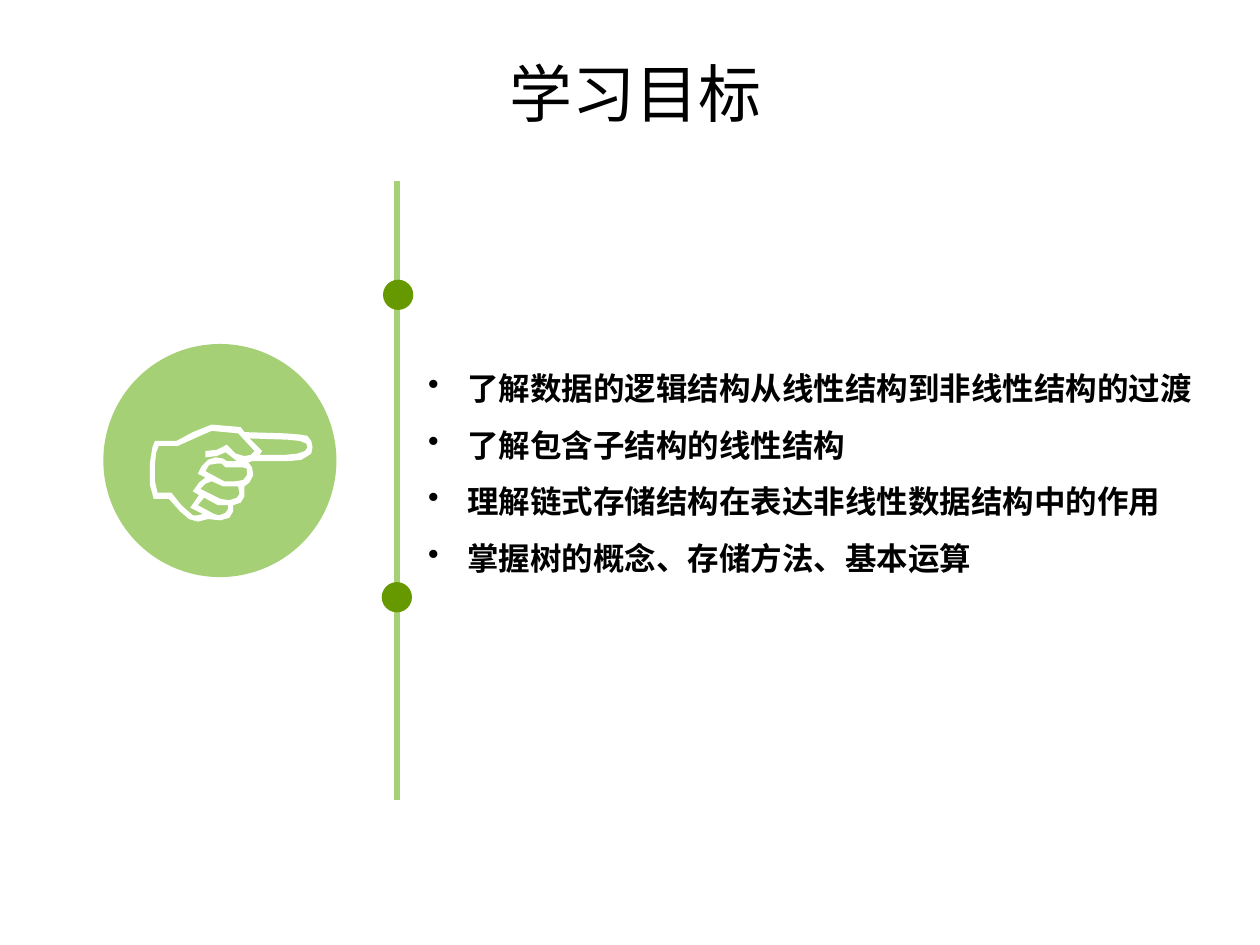
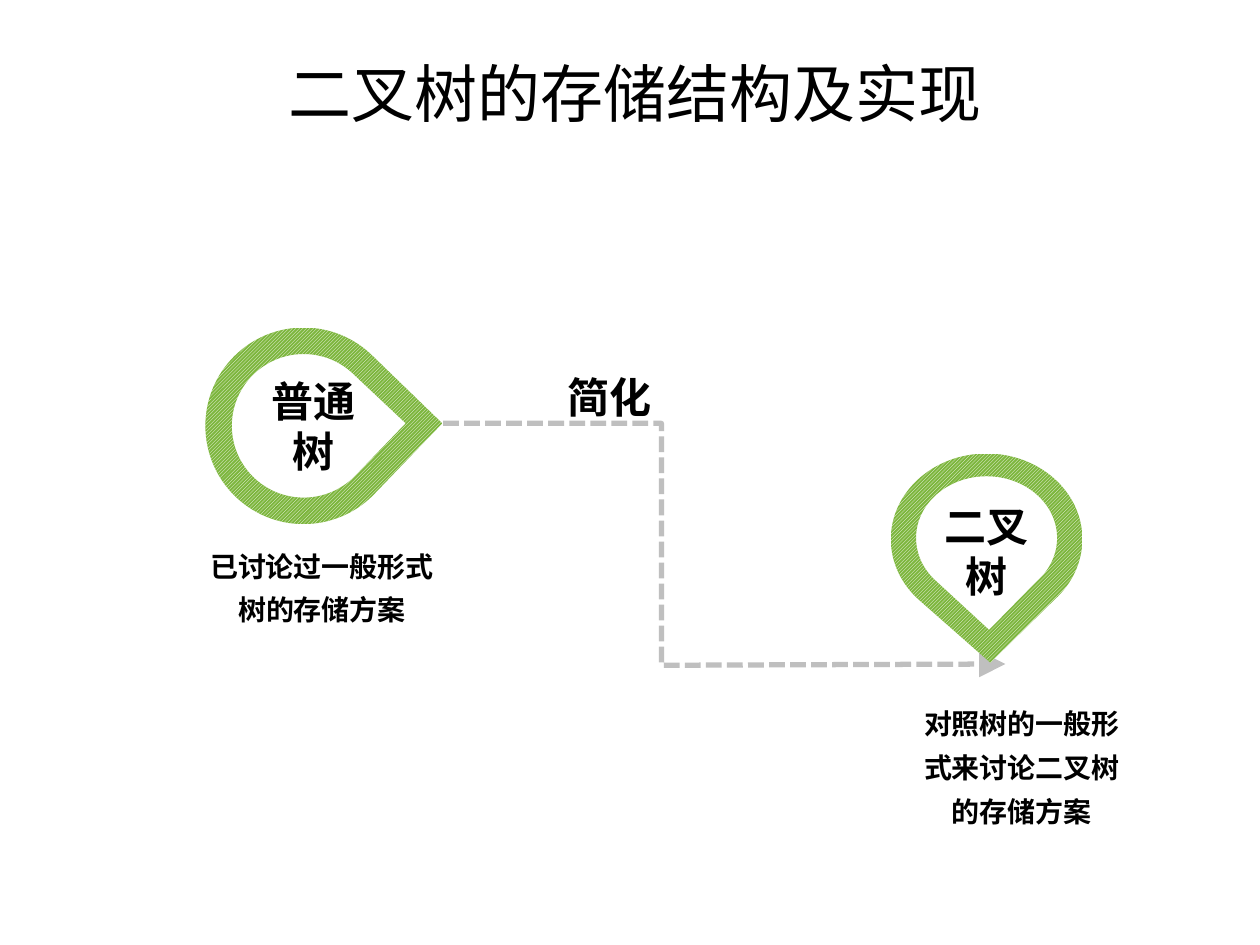
import math
from dataclasses import dataclass

import pptx
import pptx.dml.color
import pptx.enum.dml
import pptx.enum.shapes
import pptx.enum.text
import pptx.oxml.ns
import pptx.util
from lxml import etree
from pptx.util import Inches

Point = tuple[float, float]
Contour = list[Point]
PP_ALIGN = pptx.enum.text.PP_ALIGN
ANCHOR = pptx.enum.text.MSO_ANCHOR
qn = pptx.oxml.ns.qn


@dataclass(frozen=True)
class Theme:
    ink: str = "000000"
    paper: str = "FFFFFF"
    light_green: str = "A5D076"
    dark_green: str = "669900"
    pin_green: str = "7DB63E"
    grey: str = "BFBFBF"
    font: str = "Noto Sans Mono"
    cjk_font: str = "Noto Sans CJK JP"
    title_size: int = 36
    label_size: int = 24
    goal_size: int = 18
    caption_size: int = 16
    line_width: int = 3
    line_height: float = 1.2


THEME = Theme()


@dataclass(frozen=True)
class Caption:
    text: str
    left: float
    top: float
    width: float
    height: float
    size: int
    anchor: ANCHOR = ANCHOR.MIDDLE


@dataclass(frozen=True)
class Drop:
    """An ellipse drawn out to a tip."""
    center: Point
    radii: Point
    tip: Point


@dataclass(frozen=True)
class Pin:
    lines: list[str]
    drops: tuple[Drop, Drop]
    tip_angle: int
    margins: tuple[float, float, float, float]


# Degrees from the tip at which the pieces of a drop's round side meet.
DROP_STOPS = [45, 90, 180, 270, 315]

GOALS = [
    "了解数据的逻辑结构从线性结构到非线性结构的过渡",
    "了解包含子结构的线性结构",
    "理解链式存储结构在表达非线性数据结构中的作用",
    "掌握树的概念、存储方法、基本运算",
]

PINS = [
    Pin(["普通", "树"],
        (Drop((2.41, 3.38), (0.78, 0.78), (3.51, 3.36)),
         Drop((2.41, 3.38), (0.57, 0.57), (3.22, 3.36))),
        0, (0, 0.05, 0.16, 0.05)),
    Pin(["二叉", "树"],
        (Drop((7.83, 4.28), (0.76, 0.68), (7.86, 5.26)),
         Drop((7.83, 4.27), (0.56, 0.49), (7.85, 5.0))),
        90, (0, 0, 0, 0.12)),
]

CAPTIONS = [
    Caption("已讨论过一般形式树的存储方案", 1.54, 4.19, 2.03, 0.87, THEME.caption_size),
    Caption("简化", 4.21, 2.73, 1.26, 0.71, THEME.label_size),
    Caption("对照树的一般形式来讨论二叉树的存储方案", 7.13, 5.48, 1.96, 1.15,
            THEME.caption_size, ANCHOR.TOP),
]

SIMPLIFY_ROUTE = [(3.35, 3.36), (5.25, 3.36), (5.25, 5.28), (7.98, 5.27)]

LITTLE_FINGER = [(1.62, 3.95), (1.57, 4.01), (1.7, 4.08), (1.74, 4.09), (1.79, 4.07),
                 (1.81, 4.04), (1.81, 4.01), (1.73, 4.01)]
RING_FINGER = [(1.68, 3.82), (1.63, 3.84), (1.59, 3.88), (1.75, 3.96), (1.82, 3.97),
               (1.88, 3.95), (1.9, 3.92), (1.89, 3.86), (1.77, 3.86)]
MIDDLE_FINGER = [(1.72, 3.68), (1.66, 3.69), (1.63, 3.74), (1.78, 3.82), (1.87, 3.82),
                 (1.93, 3.81), (1.96, 3.77), (1.96, 3.72), (1.93, 3.71), (1.79, 3.71),
                 (1.76, 3.68)]
INDEX_FINGER = [(1.98, 3.48), (2.08, 3.58), (2.06, 3.61), (2.27, 3.61), (2.36, 3.6),
                (2.42, 3.58), (2.44, 3.55), (2.43, 3.52), (2.38, 3.5), (2.28, 3.49)]
PALM = [(1.68, 3.42), (1.61, 3.45), (1.41, 3.54), (1.26, 3.54), (1.24, 3.59), (1.23, 3.68),
        (1.23, 3.82), (1.25, 3.91), (1.36, 3.91), (1.44, 4.01), (1.53, 4.09), (1.57, 4.09),
        (1.61, 4.08), (1.51, 4.03), (1.58, 3.93), (1.53, 3.9), (1.58, 3.83), (1.63, 3.79),
        (1.57, 3.76), (1.6, 3.7), (1.65, 3.65), (1.71, 3.63), (1.77, 3.64), (1.8, 3.66),
        (1.88, 3.66), (1.79, 3.59), (1.72, 3.62), (1.63, 3.63), (1.63, 3.58), (1.72, 3.57),
        (1.8, 3.53), (1.87, 3.6), (1.94, 3.62), (1.99, 3.61), (2.02, 3.58), (1.89, 3.44)]
HAND_EDGE = [(1.68, 3.37), (1.91, 3.39), (1.94, 3.43), (2.27, 3.44), (2.39, 3.45),
             (2.44, 3.46), (2.47, 3.5), (2.48, 3.55), (2.47, 3.6), (2.44, 3.62),
             (2.39, 3.65), (2.29, 3.66), (2.0, 3.66), (1.97, 3.67), (2.0, 3.71),
             (2.01, 3.77), (1.98, 3.83), (1.94, 3.86), (1.94, 3.94), (1.91, 3.99),
             (1.85, 4.01), (1.85, 4.06), (1.82, 4.11), (1.75, 4.13), (1.65, 4.12),
             (1.57, 4.14), (1.5, 4.12), (1.43, 4.06), (1.34, 3.96), (1.22, 3.96),
             (1.19, 3.85), (1.19, 3.67), (1.21, 3.55), (1.23, 3.5), (1.4, 3.5),
             (1.53, 3.43)]
HAND = [HAND_EDGE, PALM, INDEX_FINGER, MIDDLE_FINGER, RING_FINGER, LITTLE_FINGER]


def color(value: str) -> pptx.dml.color.RGBColor:
    return pptx.dml.color.RGBColor.from_string(value)


def fill_solid(shape, value: str) -> None:
    shape.shadow.inherit = False
    shape.fill.solid()
    shape.fill.fore_color.rgb = color(value)
    shape.line.fill.background()


def write(frame, lines: list[str], size: int, *, font: str = THEME.font, bold: bool = True,
          spacing: float | None = 1, align: PP_ALIGN = PP_ALIGN.CENTER,
          anchor: ANCHOR = ANCHOR.MIDDLE) -> None:
    """Fill a frame with one paragraph per line; spacing counts in line heights."""
    frame.word_wrap = True
    frame.vertical_anchor = anchor
    frame.text = "\n".join(lines)
    for paragraph in frame.paragraphs:
        paragraph.alignment = align
        if spacing:
            paragraph.line_spacing = pptx.util.Pt(size * THEME.line_height * spacing)
        for run in paragraph.runs:
            run.font.name = font
            run.font.size = pptx.util.Pt(size)
            run.font.bold = bold
            run.font.color.rgb = color(THEME.ink)
            east_asian = etree.Element(qn("a:ea"), typeface=font)
            run.font._element.find(qn("a:latin")).addnext(east_asian)


def add_bullet(paragraph, left: float, hanging: float) -> None:
    properties = paragraph._p.get_or_add_pPr()
    properties.set("marL", str(Inches(left)))
    properties.set("indent", str(-Inches(hanging)))
    etree.SubElement(properties, qn("a:buChar"), char="•")


def add_title(slide, text: str, font: str) -> None:
    box = slide.shapes.add_textbox(Inches(0.27), Inches(0.38), Inches(9.54), Inches(0.7))
    write(box.text_frame, [text], THEME.title_size, font=font, bold=False, spacing=None)


def add_circle(slide, left: float, top: float, diameter: float, value: str) -> None:
    circle = slide.shapes.add_shape(
        pptx.enum.shapes.MSO_SHAPE.OVAL,
        Inches(left), Inches(top), Inches(diameter), Inches(diameter))
    fill_solid(circle, value)


def add_outline(slide, contours: list[Contour], close: bool = True):
    """Join contours in one freeform; inner contours become holes."""
    scaled = [[(Inches(x), Inches(y)) for x, y in contour] for contour in contours]
    builder = slide.shapes.build_freeform(*scaled[0][0])
    for index, (start, *rest) in enumerate(scaled):
        if index:
            builder.move_to(*start)
        builder.add_line_segments(rest, close=close)
    outline = builder.convert_to_shape()
    outline.shadow.inherit = False
    return outline


def drop_contour(drop: Drop, angles: list[float]) -> Contour:
    (x, y), (rx, ry) = drop.center, drop.radii
    return [drop.tip, *((x + rx * math.cos(a), y + ry * math.sin(a)) for a in angles)]


def bend(segment, start: Point, radii: Point, first: float, last: float) -> None:
    """Turn a straight segment into the elliptic arc between two angles."""
    end = segment[0]
    reach = 4 / 3 * math.tan((last - first) / 4)
    segment.tag = qn("a:cubicBezTo")
    corners = [(start, first, reach), ((int(end.get("x")), int(end.get("y"))), last, -reach)]
    for (x, y), angle, length in corners:
        control = etree.Element(
            qn("a:pt"),
            x=str(round(x - length * Inches(radii[0]) * math.sin(angle))),
            y=str(round(y + length * Inches(radii[1]) * math.cos(angle))))
        end.addprevious(control)


def add_pin(slide, pin: Pin) -> None:
    angles = [math.radians(pin.tip_angle + stop) for stop in DROP_STOPS]
    ring = add_outline(slide, [drop_contour(drop, angles) for drop in pin.drops])
    segments = list(ring._element.iter(qn("a:lnTo")))
    for index, drop in enumerate(pin.drops):
        side = segments[index * len(angles):(index + 1) * len(angles)]
        ends = [(int(s[0].get("x")), int(s[0].get("y"))) for s in side]
        for segment, start, first, last in zip(side[1:], ends, angles, angles[1:]):
            bend(segment, start, drop.radii, first, last)
    ring.fill.patterned()
    ring.fill.pattern = pptx.enum.dml.MSO_PATTERN.DARK_UPWARD_DIAGONAL
    ring.fill.fore_color.rgb = color(THEME.paper)
    ring.fill.back_color.rgb = color(THEME.pin_green)
    ring.line.fill.background()
    frame = ring.text_frame
    (frame.margin_left, frame.margin_top,
     frame.margin_right, frame.margin_bottom) = map(Inches, pin.margins)
    write(frame, pin.lines, THEME.label_size)


def add_caption(slide, caption: Caption) -> None:
    box = slide.shapes.add_textbox(Inches(caption.left), Inches(caption.top),
                                   Inches(caption.width), Inches(caption.height))
    write(box.text_frame, [caption.text], caption.size, spacing=1.3, anchor=caption.anchor)


def style_line(line, value: str) -> None:
    line.color.rgb = color(value)
    line.width = pptx.util.Pt(THEME.line_width)


def build_goals(slide) -> None:
    add_title(slide, "学习目标", THEME.font)
    timeline = slide.shapes.add_connector(
        pptx.enum.shapes.MSO_CONNECTOR.STRAIGHT,
        Inches(3.15), Inches(1.44), Inches(3.15), Inches(6.35))
    style_line(timeline.line, THEME.light_green)
    etree.SubElement(timeline._element.spPr, qn("a:effectLst"))
    for left, top in [(3.03, 4.62), (3.04, 2.22)]:
        add_circle(slide, left, top, 0.24, THEME.dark_green)

    goals = slide.shapes.add_textbox(Inches(2.8), Inches(2.73), Inches(6.8), Inches(2.37))
    write(goals.text_frame, GOALS, THEME.goal_size, spacing=1.5,
          align=PP_ALIGN.LEFT, anchor=ANCHOR.TOP)
    for paragraph in goals.text_frame.paragraphs:
        paragraph.level = 1
        add_bullet(paragraph, 0.81, 0.31)

    add_circle(slide, 0.82, 2.73, 1.85, THEME.light_green)
    fill_solid(add_outline(slide, HAND), THEME.paper)


def build_storage(slide) -> None:
    route = add_outline(slide, [SIMPLIFY_ROUTE], close=False)
    route.fill.background()
    style_line(route.line, THEME.grey)
    route.line.dash_style = pptx.enum.dml.MSO_LINE.SQUARE_DOT
    etree.SubElement(route.line._get_or_add_ln(), qn("a:tailEnd"),
                     type="triangle", w="lg", len="lg")
    for pin in PINS:
        add_pin(slide, pin)
    add_title(slide, "二叉树的存储结构及实现", THEME.cjk_font)
    for caption in CAPTIONS:
        add_caption(slide, caption)


def main() -> None:
    deck = pptx.Presentation()
    deck.slide_width, deck.slide_height = Inches(10), Inches(7.5)
    blank = deck.slide_layouts[6]
    for build in (build_goals, build_storage):
        build(deck.slides.add_slide(blank))
    deck.save("out.pptx")


if __name__ == "__main__":
    main()
